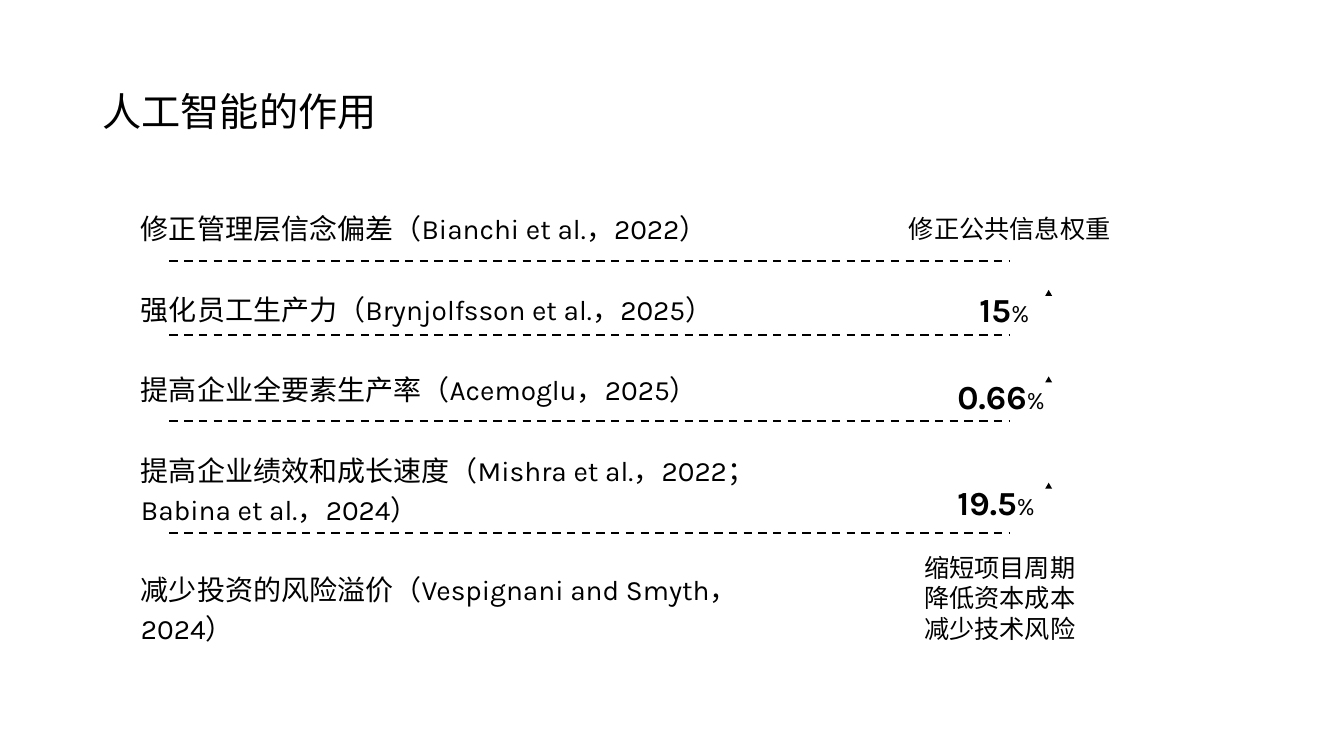
from lxml.etree import SubElement
from pptx import Presentation
from pptx.dml.color import RGBColor
from pptx.enum.dml import MSO_LINE
from pptx.enum.shapes import MSO_CONNECTOR, MSO_SHAPE
from pptx.enum.text import MSO_ANCHOR, MSO_AUTO_SIZE, PP_ALIGN
from pptx.oxml.ns import qn
from pptx.util import Pt

TOPICS = [
    "修正管理层信念偏差（Bianchi et al.，2022）",
    "强化员工生产力（Brynjolfsson et al.，2025）",
    "提高企业全要素生产率（Acemoglu，2025）",
    "提高企业绩效和成长速度（Mishra et al.，2022；Babina et al.，2024）",
    "减少投资的风险溢价（Vespignani and Smyth，2024）",
]
GAINS = [("15", 692.6, 203, 62.6), ("0.66", 676.8, 264.8, 78.5), ("19.5", 676.8, 340.7, 78.5)]
DIVIDERS = [186.5, 239.6, 301, 381]


def color(value):
    """Turn a hex string into a colour."""
    return RGBColor.from_string(value)


def add_run(p, text, size=18, bold=False, font="Karla", ink="000000"):
    """Add a formatted run to a paragraph."""
    r = p.add_run()
    r.text = text
    r.font.size = Pt(size)
    r.font.bold = bold
    r.font.name = font
    r.font.color.rgb = color(ink)


class SlideBuilder:
    """Hold the slide and its ink colour."""

    def __init__(self, prs, ink="000000"):
        """Start a title-only slide."""
        self.s = prs.slides.add_slide(prs.slide_layouts[5])
        self.ink = ink

    def title(self, text, x, y, w, h):
        """Place and format the title."""
        sp = self.s.shapes.title
        sp.left, sp.top, sp.width, sp.height = Pt(x), Pt(y), Pt(w), Pt(h)
        tf = sp.text_frame
        tf.auto_size = MSO_AUTO_SIZE.NONE
        tf.vertical_anchor = MSO_ANCHOR.MIDDLE
        p = tf.paragraphs[0]
        p.alignment = PP_ALIGN.LEFT
        p.line_spacing = 0.9
        add_run(p, text, size=28, ink=self.ink)

    def text(self, paragraphs, x, y, w, h, size=18, spacing=1.0, before=0, shapes=None):
        """Add a text box and return its last paragraph."""
        sp = (shapes or self.s.shapes).add_textbox(Pt(x), Pt(y), Pt(w), Pt(h))
        tf = sp.text_frame
        tf.word_wrap = True
        for i, text in enumerate(paragraphs):
            p = tf.add_paragraph() if i else tf.paragraphs[0]
            p.line_spacing = spacing
            if i:
                p.space_before = Pt(before)
            add_run(p, text, size=size, bold=size == 24, ink=self.ink)
        return p

    def gain(self, number, x, y, w):
        """Add a percentage with a rising marker."""
        shapes = self.s.shapes.add_group_shape().shapes
        p = self.text([number], x, y, w, 36, size=24, shapes=shapes)
        add_run(p, "%", ink=self.ink)
        sp = shapes.add_shape(MSO_SHAPE.ISOSCELES_TRIANGLE, Pt(746.6), Pt(y + 4.1), Pt(5), Pt(4.3))
        sp.shadow.inherit = False
        sp.fill.solid()
        sp.fill.fore_color.rgb = color(self.ink)
        sp.line.fill.background()

    def divider(self, y, x1=121, x2=721.4):
        """Add a dashed horizontal line."""
        sp = self.s.shapes.add_connector(MSO_CONNECTOR.STRAIGHT, Pt(x1), Pt(y), Pt(x2), Pt(y))
        sp.line.color.rgb = color(self.ink)
        sp.line.width = Pt(1.5)
        sp.line.dash_style = MSO_LINE.DASH
        SubElement(sp._element.spPr, qn("a:effectLst"))


def main():
    """Build and save the slide."""
    prs = Presentation()
    prs.slide_width, prs.slide_height = Pt(960), Pt(540)
    slide = SlideBuilder(prs)
    slide.title("人工智能的作用", 66, 28.8, 828, 104.4)
    slide.text(TOPICS, 93.6, 144, 490.3, 342.7, size=20, spacing=1.15, before=30)
    for gain in GAINS:
        slide.gain(*gain)
    slide.text(["修正公共信息权重"], 642.2, 149, 163.4, 29)
    slide.text(["缩短项目周期", "降低资本成本", "减少技术风险"], 653, 391, 126, 72.7)
    for y in DIVIDERS:
        slide.divider(y)
    prs.save("out.pptx")


if __name__ == "__main__":
    main()
